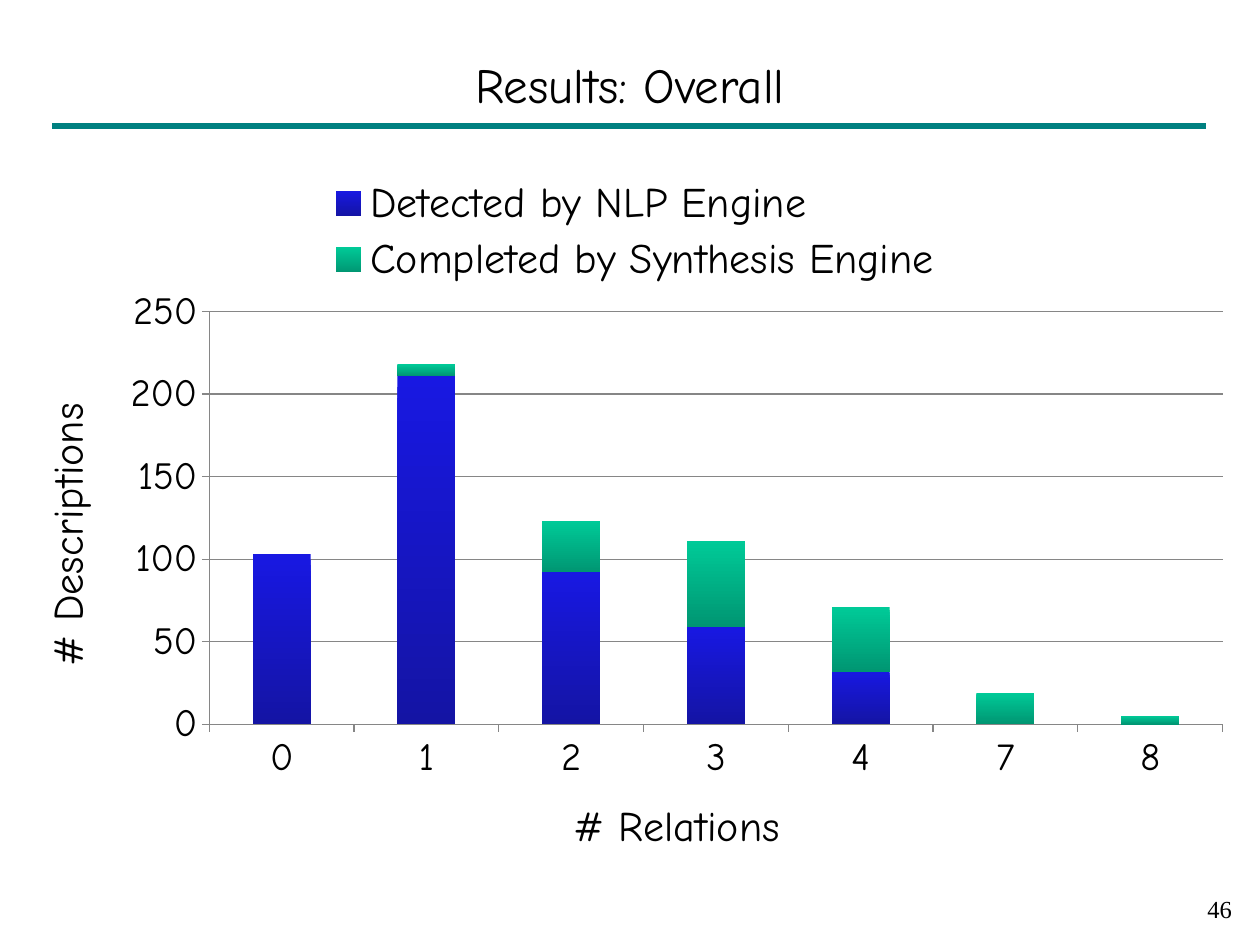
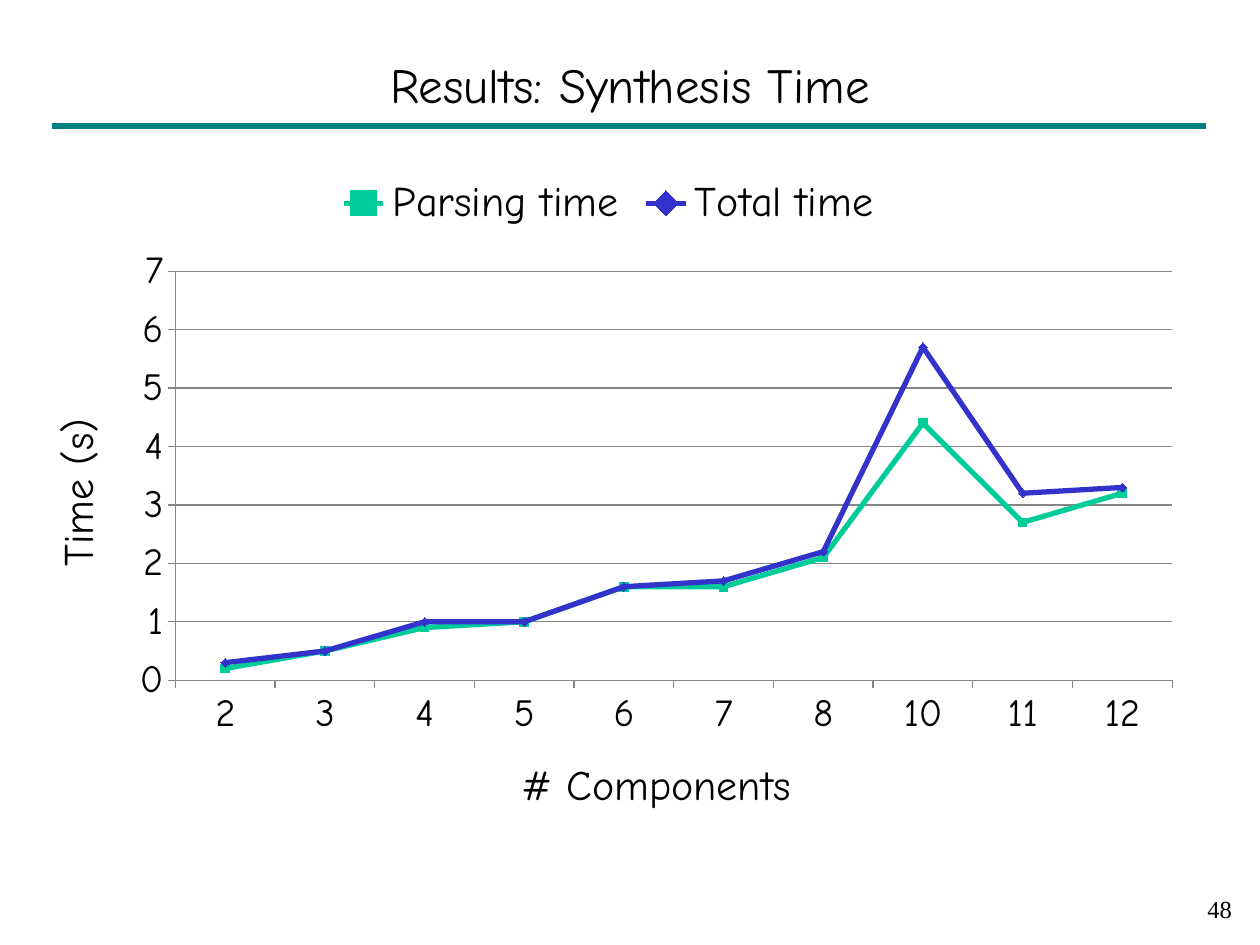
import pptx
import pptx.util
import pptx.chart.data
import pptx.dml.color
import pptx.enum.chart
import pptx.enum.text
import pptx.oxml
import pptx.oxml.ns
from lxml import etree

Pt = pptx.util.Pt
COLORS = {
    "rule": "008080", "text": "000000", "grid": "868686",
    "blue": "3333CC", "green": "00CC99",
    "blue_top": "1818E2", "blue_bottom": "1414A4",
    "green_top": "00CA98", "green_bottom": "009672",
}
RGB = {name: pptx.dml.color.RGBColor.from_string(code) for name, code in COLORS.items()}
HAND = "Comic Neue"
XL = pptx.enum.chart
ALIGN = pptx.enum.text.PP_ALIGN


def format_font(font, size, name=HAND):
    values = {"size": Pt(size), "name": name, "bold": False}
    for attribute, value in values.items():
        setattr(font, attribute, value)
    font.color.rgb = RGB["text"]


def place(part, index, fractions, inner=False):
    """Fix a chart part at x, y, w, h, as fractions of the chart."""
    for old in part.findall(pptx.oxml.ns.qn("c:layout")):
        part.remove(old)
    target = '<c:layoutTarget val="inner"/>' if inner else ""
    modes = '<c:xMode val="edge"/><c:yMode val="edge"/>'
    sizes = "".join(f'<c:{key} val="{value}"/>' for key, value in zip("xywh", fractions))
    part.insert(index, pptx.oxml.parse_xml(
        f'<c:layout {pptx.oxml.ns.nsdecls("c")}><c:manualLayout>'
        f"{target}{modes}{sizes}</c:manualLayout></c:layout>"))


results = [
    {
        "title": "Results: Overall", "number": "46",
        "kind": XL.XL_CHART_TYPE.COLUMN_STACKED, "frame": (7.9, 90, 702.7, 404),
        "plot": (0.159, 0.218, 0.824, 0.584), "legend": (0.25, 0.02, 0.51, 0.17),
        "axes": ("# Relations", "# Descriptions"), "top": 250, "step": 50,
        "categories": ["0", "1", "2", "3", "4", "7", "8"],
        "series": [
            ("Detected by NLP Engine", "blue", [103, 211, 92, 59, 32, 0, 0]),
            ("Completed by Synthesis Engine", "green", [0, 7, 31, 52, 39, 19, 5]),
        ],
    },
    {
        "title": "Results: Synthesis Time", "number": "48",
        "kind": XL.XL_CHART_TYPE.LINE_MARKERS, "frame": (11.5, 92.2, 672.5, 390.2),
        "plot": (0.132, 0.161, 0.847, 0.599), "legend": None,
        "axes": ("# Components", "Time (s)"), "top": 7, "step": 1,
        "categories": ["2", "3", "4", "5", "6", "7", "8", "10", "11", "12"],
        "series": [
            ("Parsing time", "green", [0.2, 0.5, 0.9, 1, 1.6, 1.6, 2.1, 4.4, 2.7, 3.2]),
            ("Total time", "blue", [0.3, 0.5, 1, 1, 1.6, 1.7, 2.2, 5.7, 3.2, 3.3]),
        ],
    },
]
markers = {"green": XL.XL_MARKER_STYLE.SQUARE, "blue": XL.XL_MARKER_STYLE.DIAMOND}

deck = pptx.Presentation()
deck.slide_width, deck.slide_height = Pt(720), Pt(540)
layout = deck.slide_layouts[5]

for result in results:
    slide = deck.slides.add_slide(layout)

    # The title rule is drawn once and moved to the shared layout
    if result is results[0]:
        rule = slide.shapes.add_connector(
            pptx.enum.shapes.MSO_CONNECTOR.STRAIGHT, Pt(30), Pt(72), Pt(689), Pt(72))
        rule.line.width = Pt(4)
        rule.line.color.rgb = RGB["rule"]
        etree.SubElement(rule.element.spPr, pptx.oxml.ns.qn("a:effectLst"))
        layout.shapes.element.append(rule.element)

    number = slide.shapes.add_textbox(Pt(561), Pt(507.5), Pt(150), Pt(30)).text_frame
    number.word_wrap = True
    number.text = result["number"]
    number.paragraphs[0].alignment = ALIGN.RIGHT
    format_font(number.paragraphs[0].runs[0].font, 14, "Times New Roman")

    title = slide.shapes.title
    bounds = {"left": 54, "top": 24, "width": 612, "height": 48}
    for side, length in bounds.items():
        setattr(title, side, Pt(length))
    title.text = result["title"]
    title.text_frame.vertical_anchor = pptx.enum.text.MSO_ANCHOR.MIDDLE
    title.text_frame.paragraphs[0].alignment = ALIGN.CENTER
    format_font(title.text_frame.paragraphs[0].runs[0].font, 28)

    data = pptx.chart.data.CategoryChartData()
    data.categories = result["categories"]
    for name, color, values in result["series"]:
        data.add_series(name, values)
    frame = [Pt(length) for length in result["frame"]]
    chart = slide.shapes.add_chart(result["kind"], *frame, data).chart
    format_font(chart.font, 10)
    chart.has_title = False

    chart.has_legend = True
    chart.legend.position = XL.XL_LEGEND_POSITION.TOP
    chart.legend.include_in_layout = False
    format_font(chart.legend.font, 24)
    if result["legend"]:
        place(chart.legend._element, 1, result["legend"])
    place(chart.element.find(".//" + pptx.oxml.ns.qn("c:plotArea")), 0, result["plot"], True)

    for axis, caption in zip((chart.category_axis, chart.value_axis), result["axes"]):
        axis.axis_title.text_frame.text = caption
        format_font(axis.axis_title.text_frame.paragraphs[0].runs[0].font, 24)
        format_font(axis.tick_labels.font, 22)
        axis.major_tick_mark = XL.XL_TICK_MARK.OUTSIDE
        axis.minor_tick_mark = XL.XL_TICK_MARK.NONE
        axis.format.line.color.rgb = RGB["grid"]
    scale = {"minimum_scale": 0, "maximum_scale": result["top"],
             "major_unit": result["step"], "has_major_gridlines": True}
    for attribute, value in scale.items():
        setattr(chart.value_axis, attribute, value)
    chart.value_axis.major_gridlines.format.line.color.rgb = RGB["grid"]

    plot = chart.plots[0]
    plot.vary_by_categories = False
    stacked = result["kind"] == XL.XL_CHART_TYPE.COLUMN_STACKED
    if stacked:
        plot.gap_width, plot.overlap = 150, 100
    for series, (name, color, values) in zip(plot.series, result["series"]):
        if stacked:
            fill = series.format.fill
            fill.gradient()
            fill.gradient_angle = 270
            for stop, end in zip(fill.gradient_stops, ("top", "bottom")):
                stop.color.rgb = RGB[f"{color}_{end}"]
        else:
            series.smooth = False
            series.format.line.width = Pt(3)
            series.format.line.color.rgb = RGB[color]
            series.marker.style, series.marker.size = markers[color], 5
            series.marker.format.fill.solid()
            series.marker.format.fill.fore_color.rgb = RGB[color]
            series.marker.format.line.color.rgb = RGB[color]

deck.save("out.pptx")
